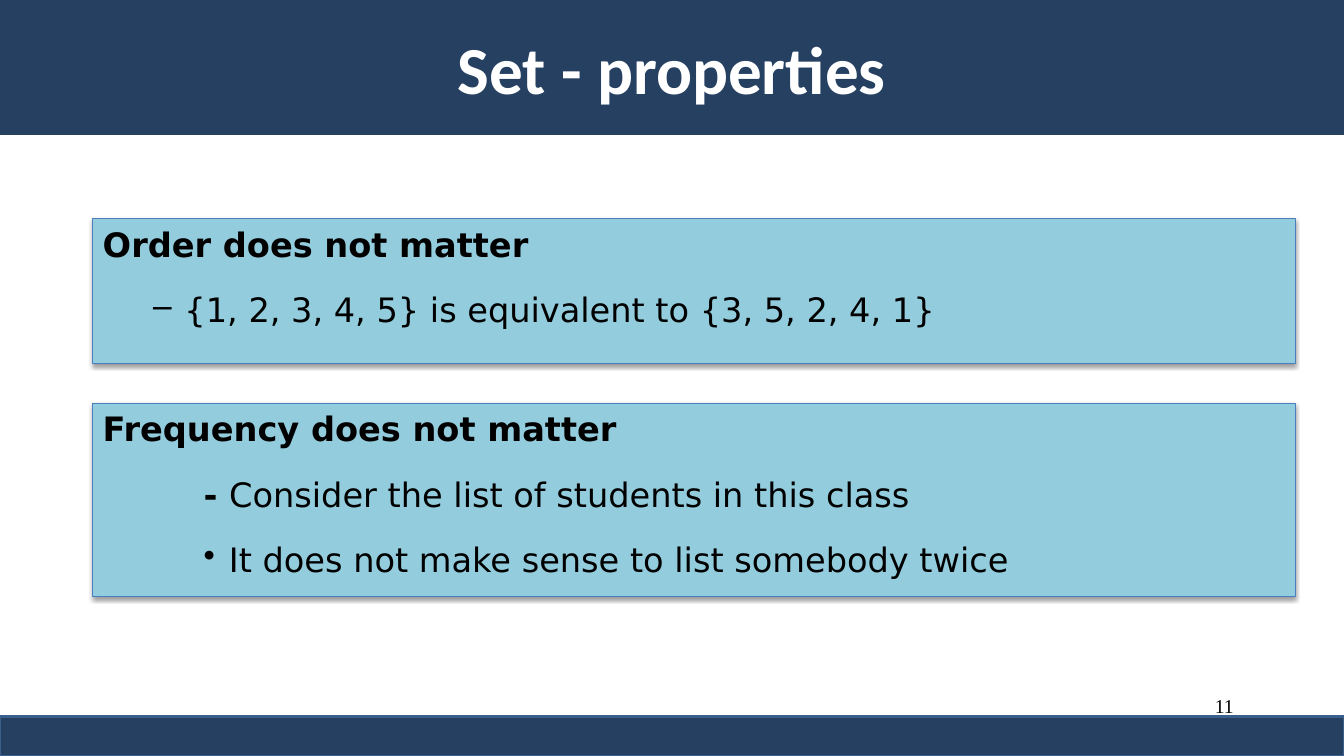
from dataclasses import dataclass

from lxml.etree import SubElement
from pptx import Presentation
from pptx.dml.color import RGBColor as RGB
from pptx.enum.shapes import MSO_SHAPE as Shape
from pptx.enum.text import MSO_ANCHOR as Anchor, PP_ALIGN as Align
from pptx.oxml.ns import qn
from pptx.util import Cm, Pt


@dataclass(frozen=True)
class Theme:
    navy: str = "254061"
    edge: str = "3A5F8C"
    panel: str = "93CDDD"
    rim: str = "4B7EBC"
    ink: str = "000000"
    white: str = "FFFFFF"
    head: str = "Calibri"
    body: str = "DejaVu Sans"
    serif: str = "Times New Roman"
    big: int = 48
    mid: int = 24
    small: int = 14


T = Theme()
WIDE, HIGH = 33.87, 19.05


def add_run(para, text, font, size, color, bold=False):
    run = para.add_run()
    run.text = text
    run.font.name, run.font.size, run.font.bold = font, Pt(size), bold
    run.font.color.rgb = RGB.from_string(color)


def add_box(slide, box, fill, line=None, width=0):
    rect = slide.shapes.add_shape(Shape.RECTANGLE, *map(Cm, box))
    rect.shadow.inherit = False
    rect.fill.solid()
    rect.fill.fore_color.rgb = RGB.from_string(fill)
    if line:
        rect.line.color.rgb = RGB.from_string(line)
        rect.line.width = Pt(width)
    else:
        rect.line.fill.background()
    return rect


def add_shade(rect):
    """Soft shadow straight below."""
    effects = rect._element.spPr.find(qn("a:effectLst"))
    shade = SubElement(effects, qn("a:outerShdw"), blurRad=str(Pt(3.1)),
                       dist=str(Pt(1.6)), dir="5400000", rotWithShape="0")
    color = SubElement(shade, qn("a:srgbClr"), val=T.ink)
    SubElement(color, qn("a:alpha"), val="38000")


def set_indent(para, left, hang, mark):
    props = para._p.get_or_add_pPr()
    props.set("marL", str(Cm(left)))
    props.set("indent", str(-Cm(hang)))
    if mark:
        color = SubElement(props, qn("a:buClr"))
        SubElement(color, qn("a:srgbClr"), val=T.ink)
        SubElement(props, qn("a:buChar"), char=mark)


# Title band
def add_head(slide, box, title):
    frame = add_box(slide, box, T.navy).text_frame
    frame.vertical_anchor = Anchor.MIDDLE
    para = frame.paragraphs[0]
    para.alignment = Align.CENTER
    add_run(para, title, T.head, T.big, T.white, True)


# Panel: bold heading, then points as (left, hang, mark, runs)
def add_panel(slide, box, title, points):
    rect = add_box(slide, box, T.panel, T.rim, 0.75)
    add_shade(rect)
    frame = rect.text_frame
    frame.word_wrap = True
    frame.vertical_anchor = Anchor.TOP
    rows = [(0, 0, None, [(title, True)])] + points
    for i, (left, hang, mark, runs) in enumerate(rows):
        para = frame.add_paragraph() if i else frame.paragraphs[0]
        para.alignment = Align.LEFT
        para.space_before = Pt(12 if i else 0)
        para.space_after = Pt(6)
        set_indent(para, left, hang, mark)
        for text, bold in runs:
            add_run(para, text, T.body, T.mid, T.ink, bold)


# Page number, with the bottom band below it
def add_foot(slide, box, number):
    left, top, width, height = box
    note = slide.shapes.add_textbox(
        Cm(left + width - 9.59), Cm(top - 0.71), Cm(7.06), Cm(1.27))
    note.text_frame.word_wrap = True
    para = note.text_frame.paragraphs[0]
    para.alignment = Align.RIGHT
    add_run(para, number, T.serif, T.small, T.ink)
    add_box(slide, box, T.navy, T.edge, 2)


def main():
    deck = Presentation()
    deck.slide_width, deck.slide_height = Cm(WIDE), Cm(HIGH)
    slide = deck.slides.add_slide(deck.slide_layouts[6])
    add_head(slide, (0, 0, WIDE, 3.4), "Set - properties")
    add_panel(slide, (2.34, 5.51, 30.3, 3.66), "Order does not matter", [
        (2.06, 0.79, "–",
         [("{1, 2, 3, 4, 5} is equivalent to {3, 5, 2, 4, 1}", False)]),
    ])
    add_panel(slide, (2.34, 10.16, 30.3, 4.88), "Frequency does not matter", [
        (2.54, 0, None,
         [("- ", True), ("Consider the list of students in this class", False)]),
        (3.18, 0.64, "•",
         [("It does not make sense to list somebody twice", False)]),
    ])
    add_foot(slide, (0, 18.06, WIDE, 0.99), "11")
    deck.save("out.pptx")


if __name__ == "__main__":
    main()
